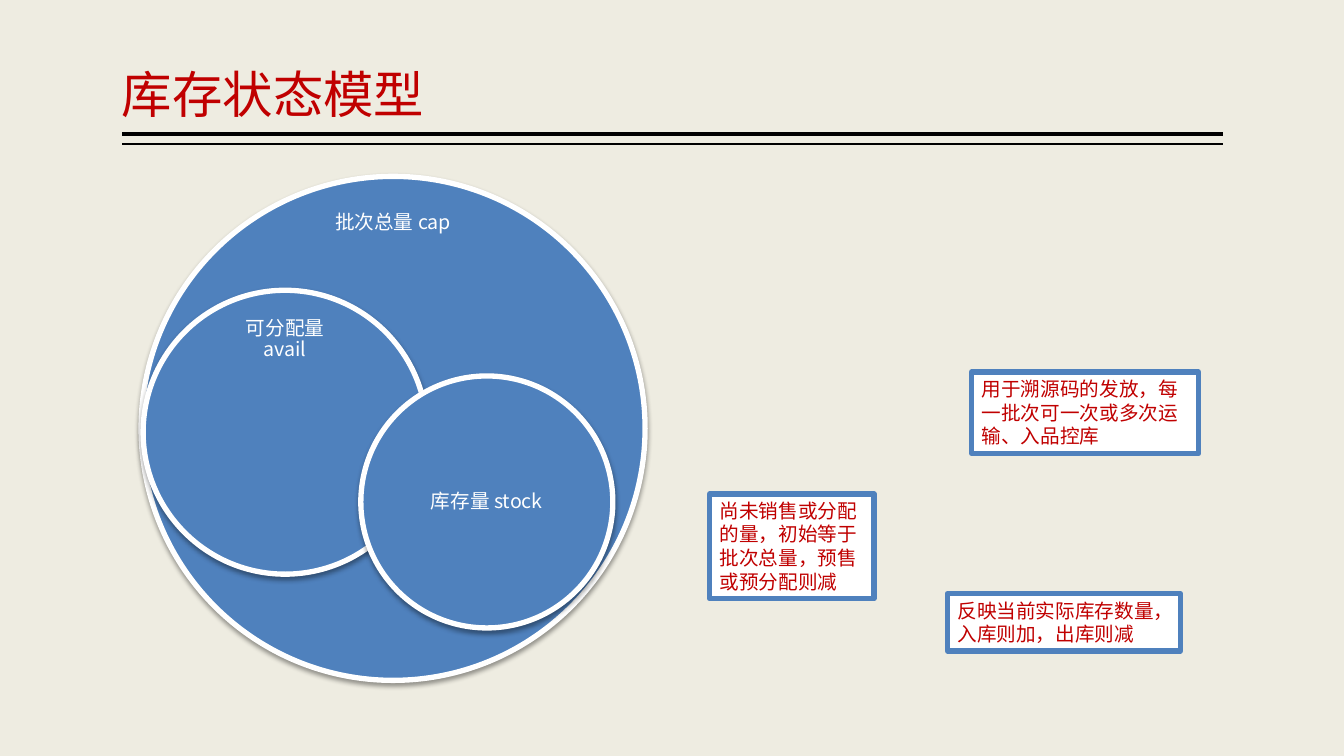
"""Build the inventory status model slide: nested quantity circles with notes."""
from dataclasses import dataclass

from lxml import etree
from pptx import Presentation
from pptx.dml.color import RGBColor
from pptx.enum.shapes import MSO_CONNECTOR, MSO_SHAPE
from pptx.enum.text import MSO_ANCHOR, MSO_AUTO_SIZE, PP_ALIGN
from pptx.oxml.ns import qn
from pptx.util import Inches, Pt

OVAL, RECTANGLE = MSO_SHAPE.OVAL, MSO_SHAPE.RECTANGLE
STRAIGHT = MSO_CONNECTOR.STRAIGHT
TOP, MIDDLE, BOTTOM = MSO_ANCHOR.TOP, MSO_ANCHOR.MIDDLE, MSO_ANCHOR.BOTTOM
LEFT, CENTER = PP_ALIGN.LEFT, PP_ALIGN.CENTER
FIT_SHAPE = MSO_AUTO_SIZE.SHAPE_TO_FIT_TEXT

COLUMNS, ROWS = 40, 22.5
CELL = Inches(13.333) / COLUMNS


@dataclass(frozen=True)
class Theme:
    """Colours, font and point sizes."""
    background: str = "EEECE1"
    blue: str = "4F81BD"
    red: str = "C00000"
    white: str = "FFFFFF"
    black: str = "000000"
    font: str = "Noto Sans CJK SC"
    title_size: float = 36
    body_size: float = 14
    outline: float = 3.8


THEME = Theme()

TITLE = "库存状态模型"
TITLE_AREA = (3.63, 0.24, 32.76, 3.6)
TITLE_RULES = [(3.99, 3), (4.29, 1)]

# Each circle: label, (column, row, diameter), label (top, width, height) as shares, anchor
CIRCLES = [
    ("批次总量 cap", (4.2, 5.25, 15), (0.05, 0.35, 0.15), TOP),
    ("可分配量 avail", (4.26, 8.64, 8.45), (0.06, 0.47, 0.19), TOP),
    ("库存量 stock", (10.74, 11.19, 7.5), (0.25, 0.71, 0.5), MIDDLE),
]

NOTES = [
    ("用于溯源码的发放，每一批次可一次或多次运输、入品控库", (28.92, 11.07, 6.75, 2.43)),
    ("反映当前实际库存数量，入库则加，出库则减", (28.2, 17.67, 6.93, 1.71)),
    ("尚未销售或分配的量，初始等于批次总量，预售或预分配则减", (21.12, 14.7, 4.89, 3.12)),
]


def cells(*counts):
    return [round(count * CELL) for count in counts]


def color(value):
    return RGBColor.from_string(value)


def write(box, text, size, ink, anchor=TOP, align=LEFT, spacing=1.0, insets=(0.1, 0.05)):
    frame = box.text_frame
    frame.word_wrap = True
    frame.vertical_anchor = anchor
    frame.margin_left = frame.margin_right = Inches(insets[0])
    frame.margin_top = frame.margin_bottom = Inches(insets[1])
    para = frame.paragraphs[0]
    para.alignment = align
    para.line_spacing = spacing
    span = para.add_run()
    span.text = text
    span.font.size = Pt(size)
    span.font.name = THEME.font
    span.font.color.rgb = color(ink)
    east_asian = etree.SubElement(span.font._element, qn("a:ea"))
    east_asian.set("typeface", THEME.font)
    return para


def add_panel(page, kind, area, fill, line):
    panel = page.shapes.add_shape(kind, *cells(*area))
    panel.shadow.inherit = False
    panel.fill.solid()
    panel.fill.fore_color.rgb = color(fill)
    panel.line.color.rgb = color(line)
    panel.line.width = Pt(THEME.outline)
    return panel


def add_title(page):
    left, _, width, _ = TITLE_AREA
    for row, weight in TITLE_RULES:
        rule = page.shapes.add_connector(STRAIGHT, *cells(left + width, row, left, row))
        rule.line.color.rgb = color(THEME.black)
        rule.line.width = Pt(weight)
        etree.SubElement(rule._element.spPr, qn("a:effectLst"))
    box = page.shapes.add_textbox(*cells(*TITLE_AREA))
    write(box, TITLE, THEME.title_size, THEME.red, BOTTOM, spacing=0.9, insets=(0, 0.05))


def add_shadow(shape):
    effects = shape._element.spPr.find(qn("a:effectLst"))
    shadow = etree.SubElement(effects, qn("a:outerShdw"), blurRad=str(Pt(3.5)),
                              dist=str(Pt(2)), dir="5400000", rotWithShape="0")
    tint = etree.SubElement(shadow, qn("a:srgbClr"), val=THEME.black)
    etree.SubElement(tint, qn("a:alpha"), val="38000")


def add_circle(page, label, place, shares, anchor):
    column, row, diameter = place
    circle = add_panel(page, OVAL, (column, row, diameter, diameter), THEME.blue, THEME.white)
    add_shadow(circle)
    top, width, height = (share * diameter for share in shares)
    left = column + (diameter - width) / 2
    box = page.shapes.add_textbox(*cells(left, row + top, width, height))
    para = write(box, label, THEME.body_size, THEME.white, anchor, CENTER, 0.9, (0.11, 0.11))
    para.space_after = Pt(0.35 * THEME.body_size)


def add_note(page, text, area):
    note = add_panel(page, RECTANGLE, area, THEME.white, THEME.blue)
    write(note, text, THEME.body_size, THEME.red)
    note.text_frame.auto_size = FIT_SHAPE


def main():
    deck = Presentation()
    deck.slide_width, deck.slide_height = cells(COLUMNS, ROWS)
    page = deck.slides.add_slide(deck.slide_layouts[6])
    page.background.fill.solid()
    page.background.fill.fore_color.rgb = color(THEME.background)
    add_title(page)
    for circle in CIRCLES:
        add_circle(page, *circle)
    for note in NOTES:
        add_note(page, *note)
    deck.save("out.pptx")


if __name__ == "__main__":
    main()
